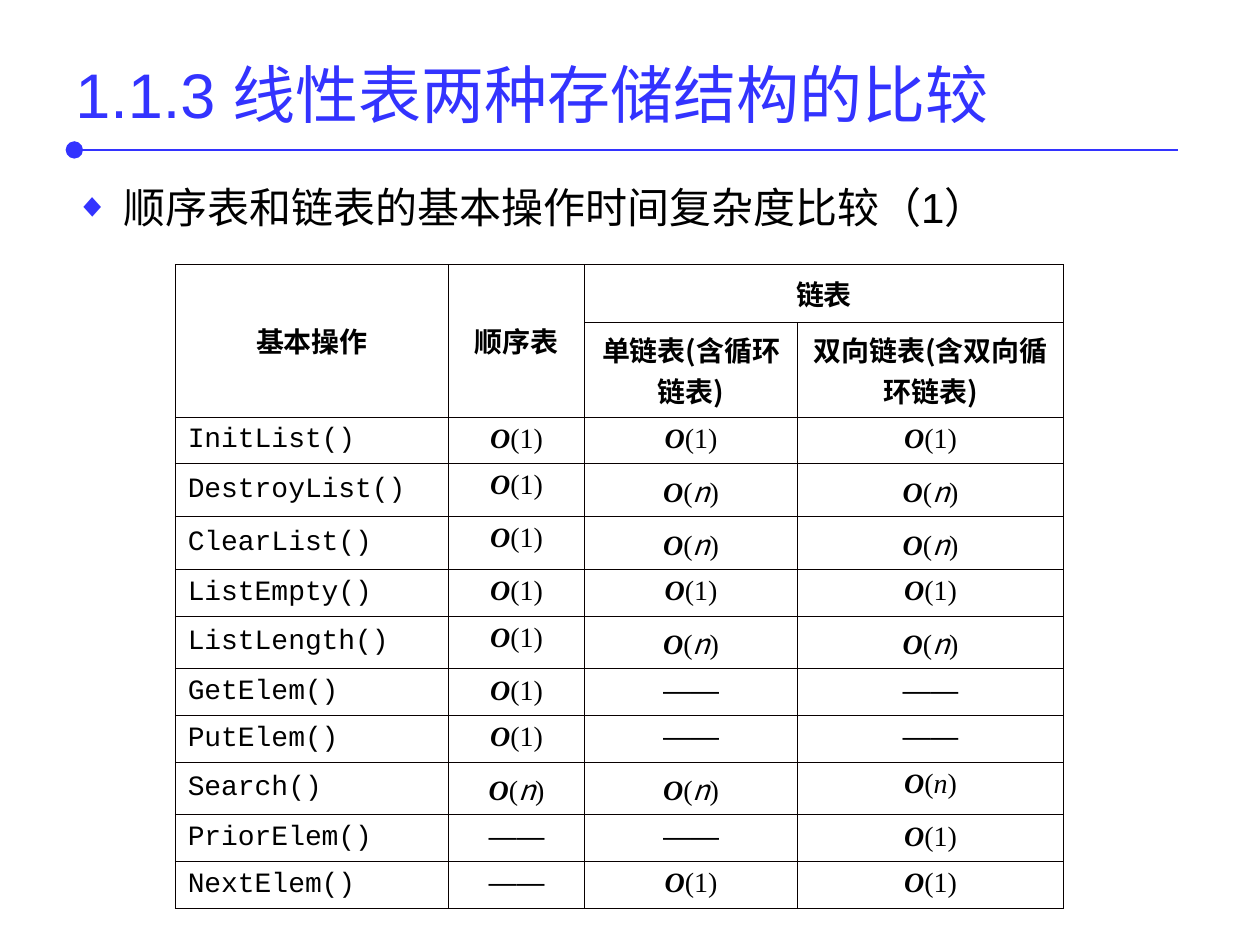
import pptx
import pptx.util
import pptx.dml.color
import pptx.enum.shapes
import pptx.enum.text
import pptx.oxml
import pptx.oxml.ns
from lxml import etree

Inches = pptx.util.Inches
Align = pptx.enum.text.PP_ALIGN
Anchor = pptx.enum.text.MSO_ANCHOR
HUES = {"blue": "3333FF", "text": "000000", "edge": "080000"}
CJK = "Noto Sans CJK SC"
SERIF = "Times New Roman"
HEAD = {"name": CJK, "bold": True}
CODE = {"name": "Courier New"}
BIG_O = ("O", {"name": SERIF, "bold": True, "italic": True})
COSTS = {
    "1": [BIG_O, ("(1)", {"name": SERIF})],
    "n": [BIG_O, ("(", {"name": SERIF}), ("n", {"name": CJK, "italic": True}),
          (")", {"name": SERIF})],
    "N": [BIG_O, ("(", {"name": SERIF}), ("n", {"name": SERIF, "italic": True}),
          (")", {"name": SERIF})],
    "-": [("——", {"name": "Arial"})],
}
HEADS = [
    (0, 0, 1, 0, "基本操作"),
    (0, 1, 1, 1, "顺序表"),
    (0, 2, 0, 3, "链表"),
    (1, 2, 1, 2, "单链表(含循环链表)"),
    (1, 3, 1, 3, "双向链表(含双向循环链表)"),
]
COLS = [2.17, 1.08, 1.69, 2.11]
TASKS = [
    ("InitList()", "111"),
    ("DestroyList()", "1nn"),
    ("ClearList()", "1nn"),
    ("ListEmpty()", "111"),
    ("ListLength()", "1nn"),
    ("GetElem()", "1--"),
    ("PutElem()", "1--"),
    ("Search()", "nnN"),
    ("PriorElem()", "--1"),
    ("NextElem()", "-11"),
]
ROWS = [0.46, 0.75] + [0.42 if "n" in costs else 0.37 for _, costs in TASKS]


def node(host, tag, **attrs):
    """Append a drawing element to its host."""
    item = etree.SubElement(host, pptx.oxml.ns.qn("a:" + tag))
    for key, value in attrs.items():
        item.set(key, str(value))
    return item


def write(frame, runs, size, hue="text", align=Align.LEFT):
    """Fill the first paragraph of a frame with styled runs."""
    para = frame.paragraphs[0]
    para.alignment = align
    for text, style in runs:
        run = para.add_run()
        run.text = text
        look = {"size": pptx.util.Pt(size), "bold": False, "italic": False, **style}
        for key, value in look.items():
            setattr(run.font, key, value)
        run.font.color.rgb = pptx.dml.color.RGBColor.from_string(HUES[hue])
        node(run.font._element, "ea", typeface=CJK)
    return para


def space(para):
    """Put a fifth of a line before a paragraph."""
    props = para._p.get_or_add_pPr()
    node(node(props, "spcBef"), "spcPct", val=20000)
    return props


def add_box(slide, left, top, width, height):
    """Add a wrapping text box and return its frame."""
    box = slide.shapes.add_textbox(
        Inches(left), Inches(top), Inches(width), Inches(height))
    box.text_frame.word_wrap = True
    return box.text_frame


def add_title(slide, left, top, width, height):
    """Place the title and the dotted rule below it."""
    frame = add_box(slide, left, top, width, height)
    frame.vertical_anchor = Anchor.MIDDLE
    write(frame, [("1.1.3 线性表两种存储结构的比较", {"name": "Arial"})], 36, "blue")
    level = Inches(top + height + 0.01)
    rule = slide.shapes.add_connector(
        pptx.enum.shapes.MSO_CONNECTOR.STRAIGHT,
        Inches(left + 0.09), level, Inches(left + width - 0.15), level)
    rule.line.color.rgb = pptx.dml.color.RGBColor.from_string(HUES["blue"])
    rule.line.width = pptx.util.Pt(1.5)
    node(rule.line._get_or_add_ln(), "headEnd", type="oval", w="lg", len="lg")
    node(rule._element.spPr, "effectLst")


def add_point(slide, left, top, width, height):
    """Place the bulleted statement."""
    frame = add_box(slide, left, top, width, height)
    text = "顺序表和链表的基本操作时间复杂度比较（1）"
    props = space(write(frame, [(text, {"name": "Arial"})], 24))
    props.set("marL", str(Inches(0.38)))
    props.set("indent", str(-Inches(0.38)))
    node(node(props, "buClr"), "srgbClr", val=HUES["blue"])
    node(props, "buSzPct", val=80000)
    node(props, "buFont", typeface="Arial")
    node(props, "buChar", char="◆")


def frame_cell(cell):
    """Give a cell thin borders and no fill."""
    props = cell._tc.get_or_add_tcPr()
    for side in ("lnL", "lnR", "lnT", "lnB"):
        edge = node(props, side, w=pptx.util.Pt(0.5))
        node(node(edge, "solidFill"), "srgbClr", val=HUES["edge"])
    cell.fill.background()


def fill_cell(cell, runs, align=Align.CENTER, anchor=Anchor.MIDDLE):
    """Write runs into a table cell."""
    cell.vertical_anchor = anchor
    space(write(cell.text_frame, runs, 16, align=align))


def add_grid(slide, left, top, width, height):
    """Place the table of time costs."""
    grid = slide.shapes.add_table(
        len(ROWS), len(COLS), Inches(left), Inches(top),
        Inches(width), Inches(height)).table
    grid.first_row = grid.horz_banding = False
    for col, size in zip(grid.columns, COLS):
        col.width = Inches(size)
    for row, size in zip(grid.rows, ROWS):
        row.height = Inches(size)
    for cell in grid.iter_cells():
        frame_cell(cell)
    for row, col, low, right, text in HEADS:
        cell = grid.cell(row, col)
        if (row, col) != (low, right):
            cell.merge(grid.cell(low, right))
        fill_cell(cell, [(text, HEAD)])
    for row, (task, costs) in enumerate(TASKS, 2):
        fill_cell(grid.cell(row, 0), [(task, CODE)], Align.LEFT)
        for col, cost in enumerate(costs, 1):
            fill_cell(grid.cell(row, col), COSTS[cost], anchor=Anchor.TOP)


def main():
    """Build the slide and save it."""
    deck = pptx.Presentation()
    deck.slide_width, deck.slide_height = Inches(10), Inches(7.5)
    slide = deck.slides.add_slide(deck.slide_layouts[6])
    add_title(slide, 0.5, 0.3, 9, 0.88)
    add_point(slide, 0.5, 1.39, 9, 5.31)
    add_grid(slide, 1.39, 2.1, sum(COLS), sum(ROWS))
    deck.save("out.pptx")


if __name__ == "__main__":
    main()
